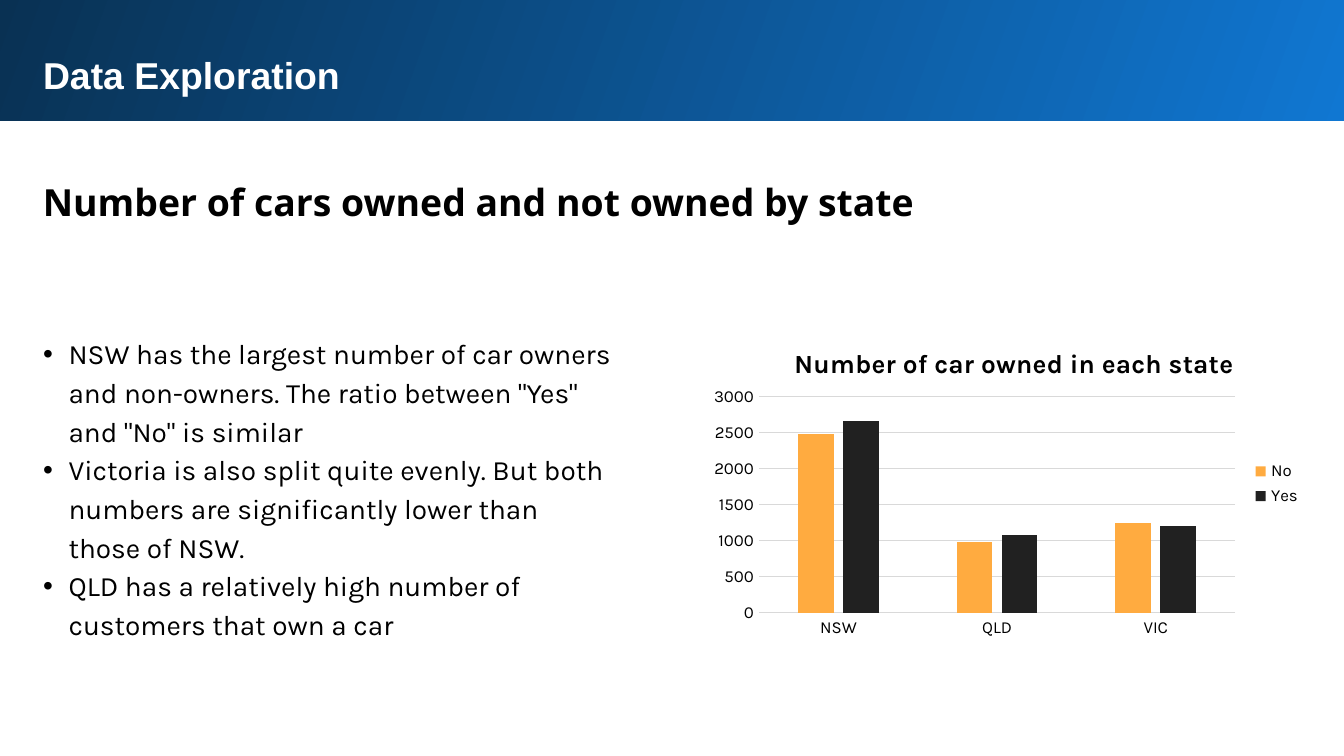
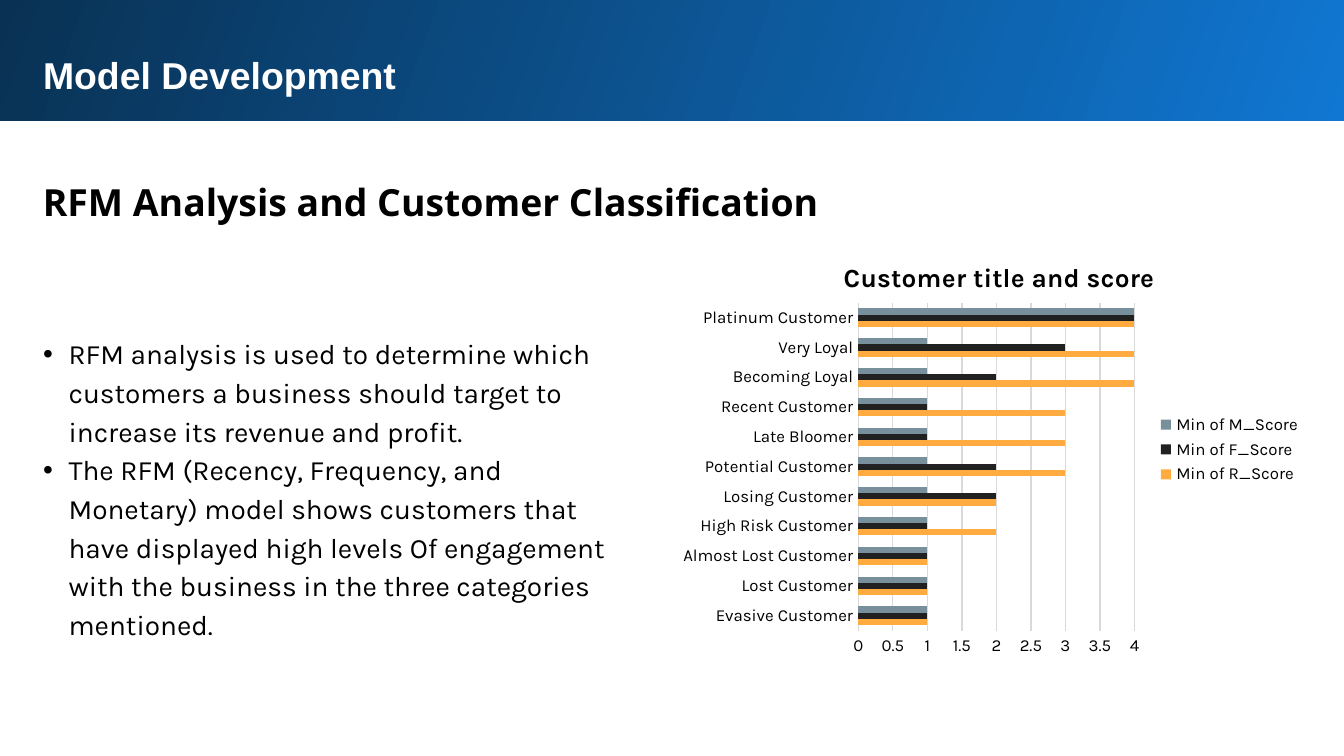
from dataclasses import dataclass

from pptx import Presentation, oxml, util as u
from pptx.chart.data import CategoryChartData
from pptx.dml.color import RGBColor
from pptx.enum import chart as ch, shapes, text as tx
from pptx.oxml import ns


@dataclass(frozen=True)
class Theme:
    """Colours, fonts, type sizes and shared places in percent of the slide."""
    white: str = "FFFFFF"
    black: str = "000000"
    light: str = "1077D2"
    dark: str = "093153"
    rule: str = "D9D9D9"
    bars: tuple = ("FFAB40", "212121", "78909C")
    head: str = "Arial"
    sub: str = "Open Sans"
    main: str = "Karla"
    big: int = 20
    text: int = 15
    label: int = 14
    note: int = 10
    small: int = 9
    wide: float = 10
    high: float = 5.625
    band: tuple = (-0.2, -0.36, 100.5, 16.36)
    title: tuple = (2.2, 5.16, 93.7, 9.07)
    topic: tuple = (2.2, 20.98, 93.7, 9.96)


T = Theme()


def area(box):
    """Turn percent shares of the slide into lengths."""
    sides = (T.wide, T.high) * 2
    return [u.Inches(side * part / 100) for side, part in zip(sides, box)]


def place(shape, box):
    """Move a shape to its area."""
    shape.left, shape.top, shape.width, shape.height = area(box)


def style(font, name, size, color, bold=False):
    """Set the look of a font."""
    font.name, font.size, font.bold = name, u.Pt(size), bold
    font.color.rgb = RGBColor.from_string(color)


def bullet(para):
    """Give a paragraph a hanging bullet."""
    props = para._p.get_or_add_pPr()
    props.set("marL", str(u.Inches(0.19)))
    props.set("indent", str(-u.Inches(0.19)))
    props.append(oxml.parse_xml(f'<a:buChar {ns.nsdecls("a")} char="•"/>'))


def write(shape, *lines, font=T.main, size=T.text, color=T.black,
          bold=False, space=1.0, dots=False):
    """Fill a shape with formatted paragraphs."""
    frame = shape.text_frame
    frame.word_wrap = True
    frame.auto_size = tx.MSO_AUTO_SIZE.SHAPE_TO_FIT_TEXT
    frame.vertical_anchor = tx.MSO_ANCHOR.TOP
    frame.margin_left = frame.margin_right = u.Inches(0.1)
    frame.margin_top = frame.margin_bottom = u.Inches(0.1)
    for i, line in enumerate(lines):
        para = frame.add_paragraph() if i else frame.paragraphs[0]
        para.alignment = tx.PP_ALIGN.LEFT
        para.line_spacing = space
        para.space_before = u.Pt(0)
        if dots:
            bullet(para)
        run = para.add_run()
        run.text = line
        style(run.font, font, size, color, bold)


def banner(slide):
    """Draw the gradient band behind the title."""
    band = slide.shapes.add_shape(shapes.MSO_SHAPE.RECTANGLE, *area(T.band))
    band.shadow.inherit = False
    band.line.fill.background()
    band.fill.gradient()
    band.fill.gradient_angle = 160
    for stop, color in zip(band.fill.gradient_stops, (T.light, T.dark)):
        stop.color.rgb = RGBColor.from_string(color)
    band.element.getparent().insert(2, band.element)


def page(deck, title, topic, points, width):
    """Add a slide with band, title, topic and bullet list."""
    slide = deck.slides.add_slide(deck.slide_layouts[1])
    banner(slide)
    head, body = slide.placeholders
    place(head, T.title)
    write(head, title, font=T.head, size=T.big, color=T.white, bold=True)
    label = slide.shapes.add_textbox(*area(T.topic))
    write(label, topic, font=T.sub, size=T.big, bold=True, space=1.15)
    place(body, (2.2, 42.13, width, 44.44))
    write(body, *points, space=1.15, dots=True)
    return slide


def fix(host, index, **parts):
    """Pin a chart part to shares of the chart."""
    old = host.find(ns.qn("c:layout"))
    if old is not None:
        host.remove(old)
    inner = '<c:layoutTarget val="inner"/>' if "w" in parts else ""
    modes = "".join(f'<c:{k}Mode val="edge"/>' for k in "xy")
    sizes = "".join(f'<c:{k} val="{v}"/>' for k, v in parts.items())
    host.insert(index, oxml.parse_xml(
        f'<c:layout {ns.nsdecls("c")}><c:manualLayout>{inner}{modes}{sizes}'
        '</c:manualLayout></c:layout>'))


def axes(chart, step, top):
    """Format both axes and the grid."""
    for axis in (chart.category_axis, chart.value_axis):
        axis.major_tick_mark = axis.minor_tick_mark = ch.XL_TICK_MARK.NONE
        style(axis.tick_labels.font, T.main, T.small, T.black)
    chart.category_axis.has_major_gridlines = False
    value = chart.value_axis
    value.minimum_scale, value.maximum_scale = 0, top
    value.major_unit = step
    value.has_major_gridlines = True
    value.format.line.fill.background()
    for line in (chart.category_axis.format.line,
                 value.major_gridlines.format.line):
        line.color.rgb = RGBColor.from_string(T.rule)
        line.width = u.Pt(0.75)


def graph(slide, kind, box, title, cats, rows, gap, lap, step, top, spot, plot):
    """Add a clustered bar or column chart."""
    data = CategoryChartData()
    data.categories = cats
    for name, vals in rows.items():
        data.add_series(name, vals)
    chart = slide.shapes.add_chart(kind, *area(box), data).chart
    style(chart.font, T.main, T.note, T.black)
    chart.has_title = True
    para = chart.chart_title.text_frame.paragraphs[0]
    run = para.add_run()
    run.text = title
    style(run.font, T.main, T.label, T.black, True)
    chart.has_legend = True
    chart.legend.position = ch.XL_LEGEND_POSITION.RIGHT
    chart.legend.include_in_layout = False
    style(chart.legend.font, T.main, T.small, T.black)
    axes(chart, step, top)
    bars = chart.plots[0]
    bars.gap_width, bars.overlap = gap, lap
    bars.vary_by_categories = False
    for item, color in zip(bars.series, T.bars):
        item.format.fill.solid()
        item.format.fill.fore_color.rgb = RGBColor.from_string(color)
    fix(chart.chart_title.element, 1, **dict(zip("xy", spot)))
    root = chart.element.find(".//" + ns.qn("c:plotArea"))
    fix(root, 0, **dict(zip("xywh", plot)))


def main():
    """Build and save the deck."""
    deck = Presentation()
    deck.slide_width, deck.slide_height = u.Inches(T.wide), u.Inches(T.high)

    cars = page(deck, "Data Exploration",
                "Number of cars owned and not owned by state", (
                    "NSW has the largest number of car owners and non-owners. "
                    "The ratio between \"Yes\" and \"No\" is similar",
                    "Victoria is also split quite evenly. But both numbers "
                    "are significantly lower than those of NSW.",
                    "QLD has a relatively high number of customers that own "
                    "a car"), 44.3)
    graph(cars, ch.XL_CHART_TYPE.COLUMN_CLUSTERED, (52.4, 42.67, 45.4, 42.67),
          "Number of car owned in each state", ("NSW", "QLD", "VIC"),
          {"No": (2480, 980, 1240), "Yes": (2660, 1080, 1200)},
          gap=219, lap=-27, step=500, top=3000,
          spot=(0.14, 0.06), plot=(0.09, 0.23, 0.78, 0.67))

    model = page(deck, "Model Development",
                 "RFM Analysis and Customer Classification", (
                     "RFM analysis is used to determine which customers a "
                     "business should target to increase its revenue and "
                     "profit.",
                     "The RFM (Recency, Frequency, and Monetary) model shows "
                     "customers that have displayed high levels Of engagement "
                     "with the business in the three categories mentioned."),
                 45.2)
    kinds = ("Evasive Customer", "Lost Customer", "Almost Lost Customer",
             "High Risk Customer", "Losing Customer", "Potential Customer",
             "Late Bloomer", "Recent Customer", "Becoming Loyal",
             "Very Loyal", "Platinum Customer")
    graph(model, ch.XL_CHART_TYPE.BAR_CLUSTERED, (50, 30.93, 47.8, 57.07),
          "Customer title and score", kinds,
          {"Min of R_Score": (1, 1, 1, 2, 2, 3, 3, 3, 4, 4, 4),
           "Min of F_Score": (1, 1, 1, 1, 2, 2, 1, 1, 2, 3, 4),
           "Min of M_Score": (1, 1, 1, 1, 1, 1, 1, 1, 1, 1, 4)},
          gap=182, lap=0, step=0.5, top=4,
          spot=(0.26, 0.05), plot=(0.29, 0.16, 0.43, 0.76))

    deck.save("out.pptx")


if __name__ == "__main__":
    main()
